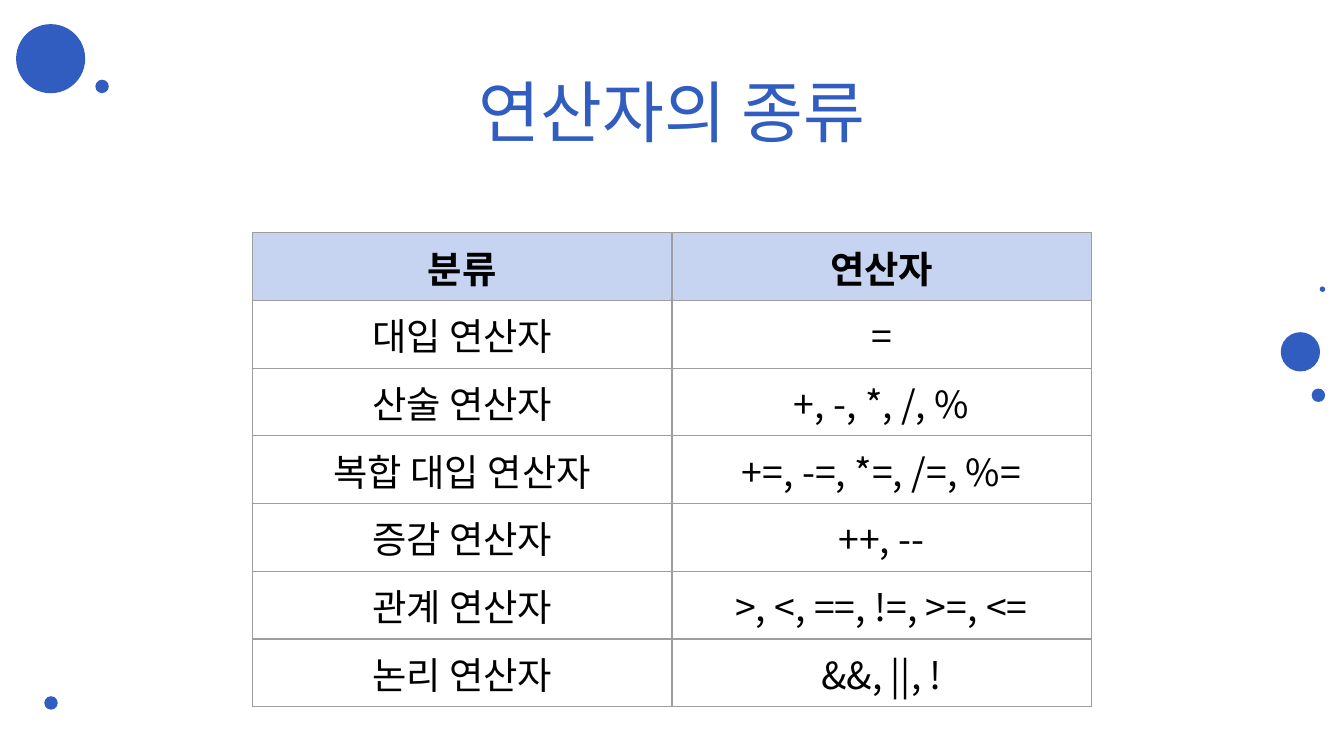
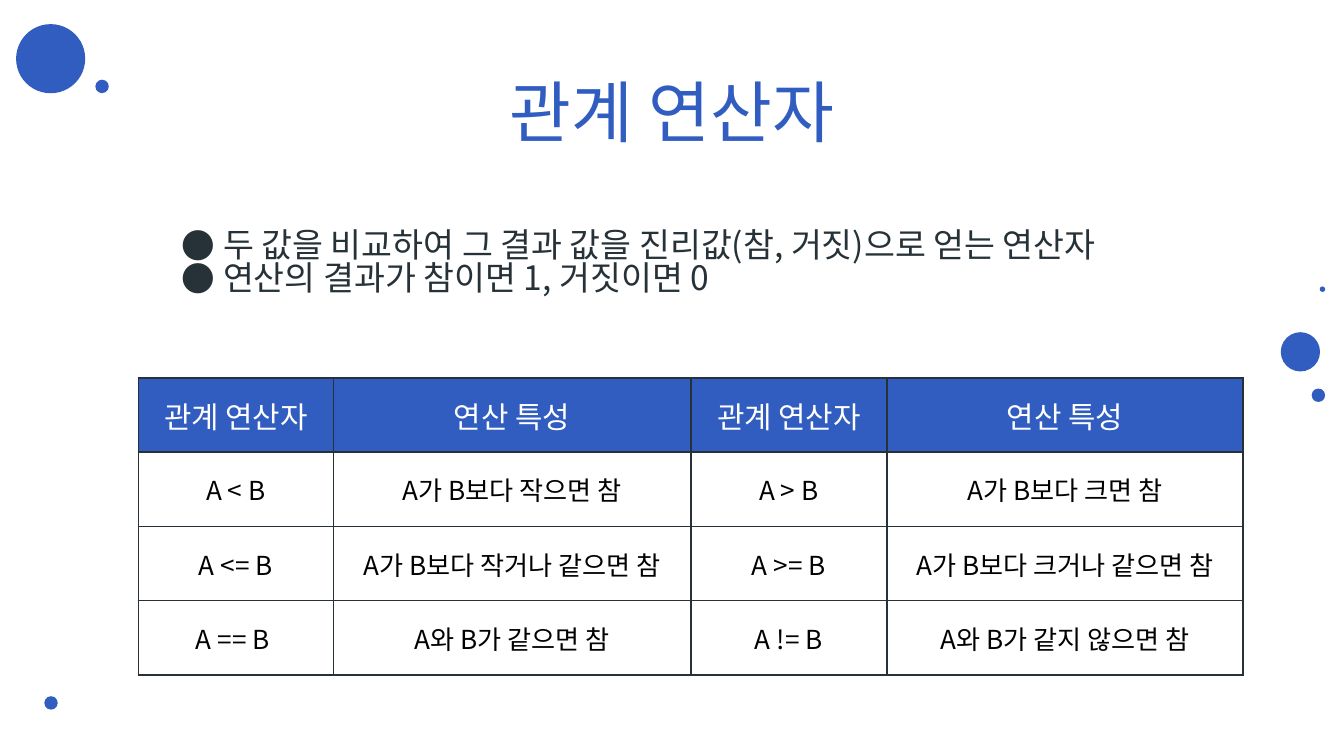
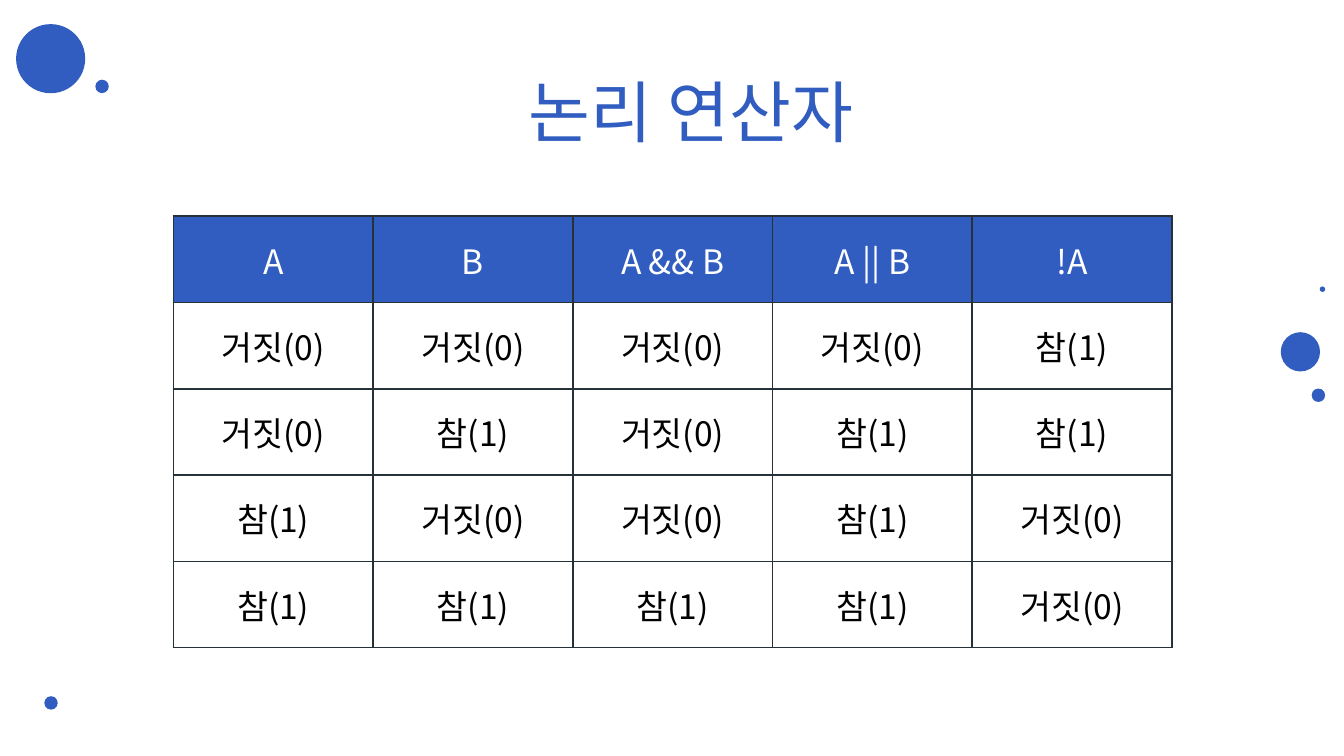
from dataclasses import dataclass
from itertools import product

from lxml.etree import SubElement
from pptx import Presentation
from pptx.dml.color import RGBColor
from pptx.enum.shapes import MSO_SHAPE as Preset
from pptx.enum.text import MSO_ANCHOR as Anchor, MSO_AUTO_SIZE as AutoSize, PP_ALIGN as Align
from pptx.oxml.ns import qn
from pptx.util import Inches, Length, Pt

FONT = "Noto Sans CJK KR"
COLORS = {
    "blue": "305DBF",
    "pale": "C7D4F1",
    "ink": "263238",
    "gray": "9E9E9E",
    "black": "000000",
    "white": "FFFFFF",
}
WIDTH, HEIGHT = Inches(10), Inches(5.625)
TITLE_LAYOUT, BODY_LAYOUT = 5, 1


@dataclass(frozen=True)
class Frame:
    """A box in percent of the slide's width and height."""

    left: float
    top: float
    width: float
    height: float

    def box(self) -> tuple[Length, ...]:
        return (across(self.left), down(self.top), across(self.width), down(self.height))


@dataclass(frozen=True)
class Bubble:
    """A decorative circle; its diameter is in percent of the slide's width."""

    left: float
    top: float
    diameter: float


@dataclass(frozen=True)
class TableStyle:
    """Colours, border width and text sizes of a table."""

    border: str
    border_points: float
    header_fill: str
    header_color: str
    header_size: int
    body_size: int
    header_bold: bool = False


BUBBLES = (
    Bubble(1.2, 3.2, 5.14),
    Bubble(7.1, 10.55, 1),
    Bubble(9.53 * 10, 43.95, 2.92),
    Bubble(97.6, 51.4, 1),
    Bubble(98.2, 37.9, 0.4),
    Bubble(3.3, 92.1, 1),
)
TITLE_FRAME = Frame(7.5, 8.7, 85, 11.2)
LOGIC_TITLE_FRAME = Frame(10.3, 8.7, 82.2, 11.2)
BODY_FRAME = Frame(7.5, 28.8, 85, 62.6)

KIND_STYLE = TableStyle("gray", 0.75, "pale", "black", 20, 20, True)
RELATION_STYLE = TableStyle("ink", 1, "blue", "white", 16, 14)
LOGIC_STYLE = TableStyle("ink", 1, "blue", "white", 18, 18)

KINDS = (
    ("분류", "연산자"),
    ("대입 연산자", "="),
    ("산술 연산자", "+, -, *, /, %"),
    ("복합 대입 연산자", "+=, -=, *=, /=, %="),
    ("증감 연산자", "++, --"),
    ("관계 연산자", ">, <, ==, !=, >=, <="),
    ("논리 연산자", "&&, ||, !"),
)
RELATION_POINTS = (
    "두 값을 비교하여 그 결과 값을 진리값(참, 거짓)으로 얻는 연산자",
    "연산의 결과가 참이면 1, 거짓이면 0",
)
RELATIONS = (
    ("관계 연산자", "연산 특성") * 2,
    ("A < B", "A가 B보다 작으면 참", "A > B", "A가 B보다 크면 참"),
    ("A <= B", "A가 B보다 작거나 같으면 참", "A >= B", "A가 B보다 크거나 같으면 참"),
    ("A == B ", "A와 B가 같으면 참", "A != B", "A와 B가 같지 않으면 참"),
)


def across(percent: float) -> Length:
    """Turn a share of the slide's width into a length."""
    return Length(round(WIDTH * percent / 100))


def down(percent: float) -> Length:
    """Turn a share of the slide's height into a length."""
    return Length(round(HEIGHT * percent / 100))


def rgb(name: str) -> RGBColor:
    """Look up a named colour."""
    return RGBColor.from_string(COLORS[name])


def format_runs(paragraph, size: int, color: str, bold: bool = False) -> None:
    """Give every run the deck's font for Latin and Korean text."""
    for run in paragraph.runs:
        run.font.name = FONT
        run.font.size = Pt(size)
        run.font.bold = bold
        run.font.color.rgb = rgb(color)
        SubElement(run.font._element, qn("a:ea"), typeface=FONT)


def place(shape, frame: Frame):
    """Move a placeholder and return its prepared text frame."""
    shape.left, shape.top, shape.width, shape.height = frame.box()
    text_frame = shape.text_frame
    text_frame.word_wrap = True
    text_frame.auto_size = AutoSize.NONE
    text_frame.vertical_anchor = Anchor.TOP
    text_frame.margin_left = text_frame.margin_right = Inches(0.1)
    text_frame.margin_top = text_frame.margin_bottom = Inches(0.1)
    return text_frame


def add_slide(presentation, layout: int, title: str, frame: Frame = TITLE_FRAME):
    """Add a slide with a formatted title."""
    slide = presentation.slides.add_slide(presentation.slide_layouts[layout])
    text_frame = place(slide.shapes.title, frame)
    text_frame.text = title
    paragraph = text_frame.paragraphs[0]
    paragraph.alignment = Align.CENTER
    paragraph.line_spacing = 0.9
    format_runs(paragraph, 36, "blue")
    return slide


def add_bubbles(presentation, slide) -> None:
    """Draw the circles and hand them to the slide master."""
    tree = presentation.slide_master.shapes.element
    for index, bubble in enumerate(BUBBLES):
        diameter = across(bubble.diameter)
        circle = slide.shapes.add_shape(
            Preset.OVAL, across(bubble.left), down(bubble.top), diameter, diameter
        )
        circle.shadow.inherit = False
        circle.fill.solid()
        circle.fill.fore_color.rgb = rgb("blue")
        circle.line.fill.background()
        circle.element.nvSpPr.cNvPr.set("id", str(100 + index))
        tree.insert(2 + index, circle.element)


def add_bullets(slide, points: tuple[str, ...]) -> None:
    """Fill the body placeholder with a bulleted list."""
    text_frame = place(slide.placeholders[1], BODY_FRAME)
    text_frame.text = "\n".join(points)
    for paragraph in text_frame.paragraphs:
        paragraph.level = 1
        paragraph.line_spacing = 0.82
        paragraph.space_before = Pt(0)
        properties = paragraph._p.get_or_add_pPr()
        properties.set("marL", str(Inches(0.81)))
        properties.set("indent", str(Inches(-0.31)))
        bullet_color = SubElement(properties, qn("a:buClr"))
        SubElement(bullet_color, qn("a:srgbClr"), val=COLORS["ink"])
        SubElement(properties, qn("a:buFont"), typeface=FONT)
        SubElement(properties, qn("a:buChar"), char="●")
        format_runs(paragraph, 18, "ink")


def add_borders(cell, style: TableStyle) -> None:
    """Draw the four borders of a cell."""
    properties = cell._tc.get_or_add_tcPr()
    for side in ("lnL", "lnR", "lnT", "lnB"):
        line = SubElement(properties, qn(f"a:{side}"), w=str(Pt(style.border_points)))
        fill = SubElement(line, qn("a:solidFill"))
        SubElement(fill, qn("a:srgbClr"), val=COLORS[style.border])


def add_table(slide, frame: Frame, rows, style: TableStyle, weights=None) -> None:
    """Add a table whose columns share the width by weight."""
    weights = weights or (1,) * len(rows[0])
    table = slide.shapes.add_table(len(rows), len(weights), *frame.box()).table
    table.first_row = table.horz_banding = False
    for column, weight in zip(table.columns, weights):
        column.width = across(frame.width * weight / sum(weights))
    for row_index, row in enumerate(rows):
        header = row_index == 0
        for column_index, text in enumerate(row):
            cell = table.cell(row_index, column_index)
            cell.vertical_anchor = Anchor.MIDDLE
            add_borders(cell, style)
            if header:
                cell.fill.solid()
                cell.fill.fore_color.rgb = rgb(style.header_fill)
            else:
                cell.fill.background()
            cell.text_frame.text = text
            paragraph = cell.text_frame.paragraphs[0]
            paragraph.alignment = Align.CENTER
            format_runs(
                paragraph,
                style.header_size if header else style.body_size,
                style.header_color if header else "black",
                header and style.header_bold,
            )


def truth_rows() -> list[tuple[str, ...]]:
    """Work out the truth table of the logical operators."""
    rows = [("A", "B", "A && B", "A || B", "!A")]
    for a, b in product((False, True), repeat=2):
        values = (a, b, a and b, a or b, not a)
        rows.append(tuple("참(1)" if value else "거짓(0)" for value in values))
    return rows


def main() -> None:
    """Build the three slides and save them."""
    presentation = Presentation()
    presentation.slide_width, presentation.slide_height = WIDTH, HEIGHT

    kinds = add_slide(presentation, TITLE_LAYOUT, "연산자의 종류")
    add_bubbles(presentation, kinds)
    add_table(kinds, Frame(18.8, 30.8, 62.4, 53.9), KINDS, KIND_STYLE)

    relations = add_slide(presentation, BODY_LAYOUT, "관계 연산자")
    add_bullets(relations, RELATION_POINTS)
    add_table(
        relations, Frame(10.3, 50, 82.2, 39.3), RELATIONS, RELATION_STYLE,
        (1.45, 2.66, 1.46, 2.65),
    )

    logic = add_slide(presentation, TITLE_LAYOUT, "논리 연산자", LOGIC_TITLE_FRAME)
    add_table(logic, Frame(12.9, 28.6, 74.3, 57.1), truth_rows(), LOGIC_STYLE)

    presentation.save("out.pptx")


if __name__ == "__main__":
    main()
